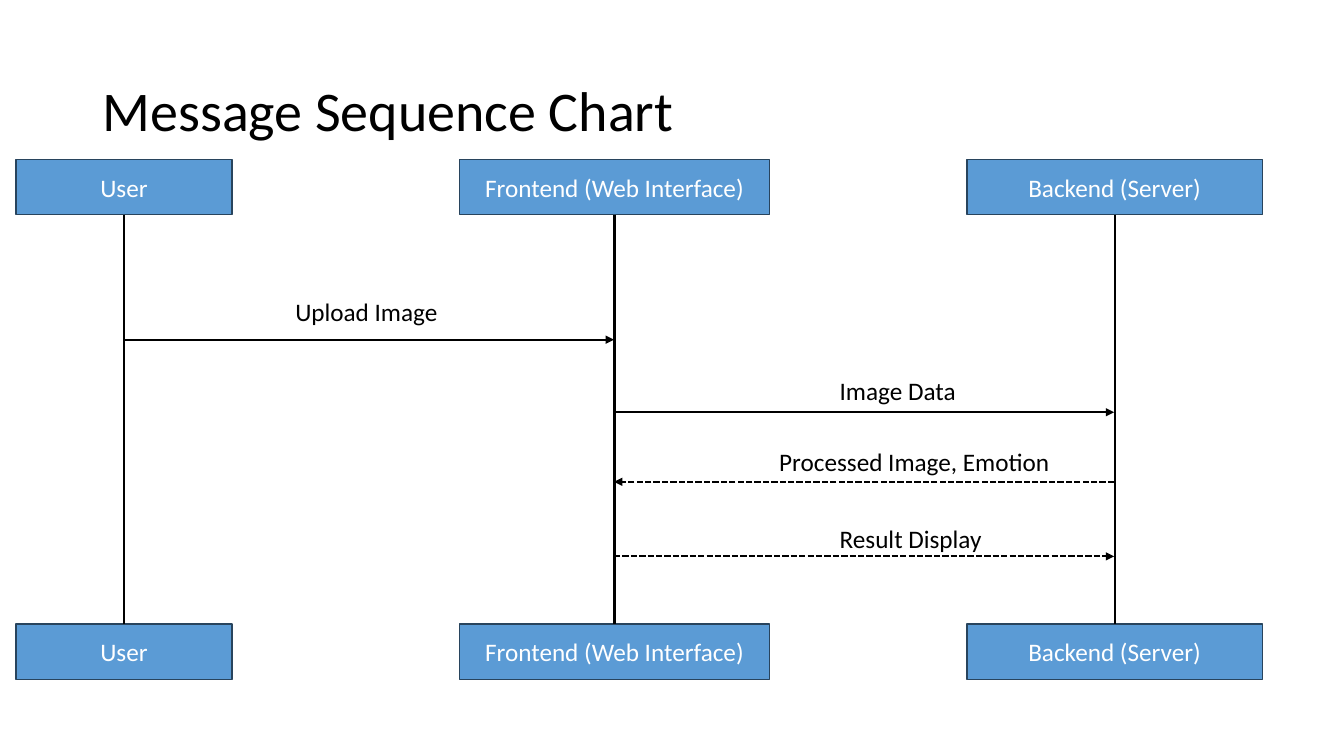
from lxml import etree
from pptx import Presentation
from pptx import util as u
from pptx.dml.color import RGBColor
from pptx.enum import dml, shapes, text
from pptx.oxml import ns

# Content; lengths in px, 100 px to the inch
SLIDE = (1333, 750)
TITLE = ("Message Sequence Chart", (92, 40, 1150, 145))
PARTICIPANTS = {  # key: (name, left, width)
    "user": ("User", 16, 214),
    "frontend": ("Frontend (Web Interface)", 456, 307),
    "backend": ("Backend (Server)", 959, 293),
}
BOX_TOPS = (158, 619)
BOX_HEIGHT = 55
MESSAGES = [  # wording, sender, receiver, arrow y, dashed, label (left, top, width)
    ("Upload Image", "user", "frontend", 337, False, (283, 289, 192)),
    ("Image Data", "frontend", "backend", 409, False, (823, 367, 137)),
    ("Processed Image, Emotion", "backend", "frontend", 478, True, (763, 438, 291)),
    ("Result Display", "frontend", "backend", 552, True, (823, 514, 163)),
]
LABEL_HEIGHT = 40

THEME = {
    "font": "Calibri",
    "title_size": 40,
    "body_size": 18,
    "ink": RGBColor.from_string("000000"),
    "box_fill": RGBColor.from_string("5B9BD5"),
    "box_line": RGBColor.from_string("28445D"),
    "box_text": RGBColor.from_string("FFFFFF"),
    "box_line_width": 1,
    "line_width": 1.5,
}


def px(*lengths):
    return [u.Emu(length * 9144) for length in lengths]


def apply_format(target, values):
    for name, value in values.items():
        setattr(target, name, value)


def write(shape, wording, size, color, anchor, align=text.PP_ALIGN.LEFT, spacing=None):
    frame = shape.text_frame
    apply_format(frame, {"word_wrap": True, "vertical_anchor": anchor})
    paragraph = frame.paragraphs[0]
    apply_format(paragraph, {"alignment": align, "line_spacing": spacing})
    run = paragraph.add_run()
    run.text = wording
    apply_format(run.font, {"name": THEME["font"], "size": u.Pt(size)})
    run.font.color.rgb = color


def add_participant_box(slide, name, left, top, width):
    box = slide.shapes.add_shape(
        shapes.MSO_SHAPE.RECTANGLE, *px(left, top, width, BOX_HEIGHT))
    box.shadow.inherit = False
    box.fill.solid()
    box.fill.fore_color.rgb = THEME["box_fill"]
    box.line.color.rgb = THEME["box_line"]
    box.line.width = u.Pt(THEME["box_line_width"])
    write(box, name, THEME["body_size"], THEME["box_text"],
          text.MSO_ANCHOR.MIDDLE, text.PP_ALIGN.CENTER)
    return box


def add_line(slide, start, end, dashed=False, arrow=False):
    line = slide.shapes.add_connector(
        shapes.MSO_CONNECTOR.STRAIGHT, *px(*start, *end))
    line.line.color.rgb = THEME["ink"]
    line.line.width = u.Pt(THEME["line_width"])
    if dashed:
        line.line.dash_style = dml.MSO_LINE.SQUARE_DOT
    properties = line._element.spPr
    if arrow:
        outline = properties.find(ns.qn("a:ln"))
        etree.SubElement(outline, ns.qn("a:tailEnd"), type="triangle")
    etree.SubElement(properties, ns.qn("a:effectLst"))
    return line


def main():
    deck = Presentation()
    deck.slide_width, deck.slide_height = px(*SLIDE)
    slide = deck.slides.add_slide(deck.slide_layouts[6])

    title, title_area = TITLE
    write(slide.shapes.add_textbox(*px(*title_area)), title, THEME["title_size"],
          THEME["ink"], text.MSO_ANCHOR.MIDDLE, spacing=0.9)

    lifeline_x = {}
    for key, (name, left, width) in PARTICIPANTS.items():
        head, foot = [add_participant_box(slide, name, left, top, width)
                      for top in BOX_TOPS]
        x = lifeline_x[key] = left + width // 2
        lifeline = add_line(slide, (x, BOX_TOPS[0] + BOX_HEIGHT), (x, BOX_TOPS[1]))
        lifeline.begin_connect(head, 2)
        lifeline.end_connect(foot, 0)

    for wording, sender, receiver, y, dashed, (left, top, width) in MESSAGES:
        add_line(slide, (lifeline_x[sender], y), (lifeline_x[receiver], y),
                 dashed, arrow=True)
        label = slide.shapes.add_textbox(*px(left, top, width, LABEL_HEIGHT))
        write(label, wording, THEME["body_size"], THEME["ink"], text.MSO_ANCHOR.TOP)

    deck.save("out.pptx")


if __name__ == "__main__":
    main()
